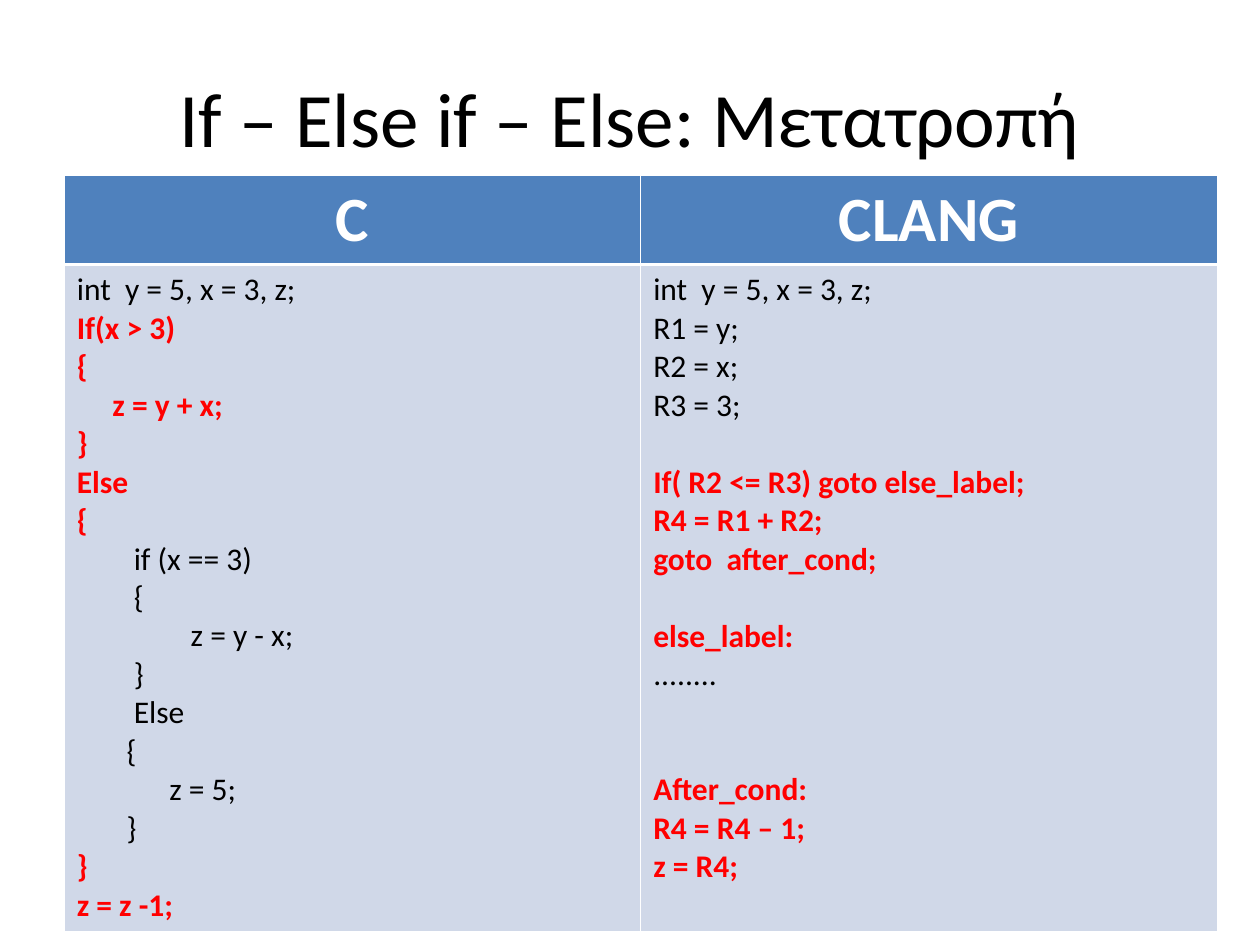
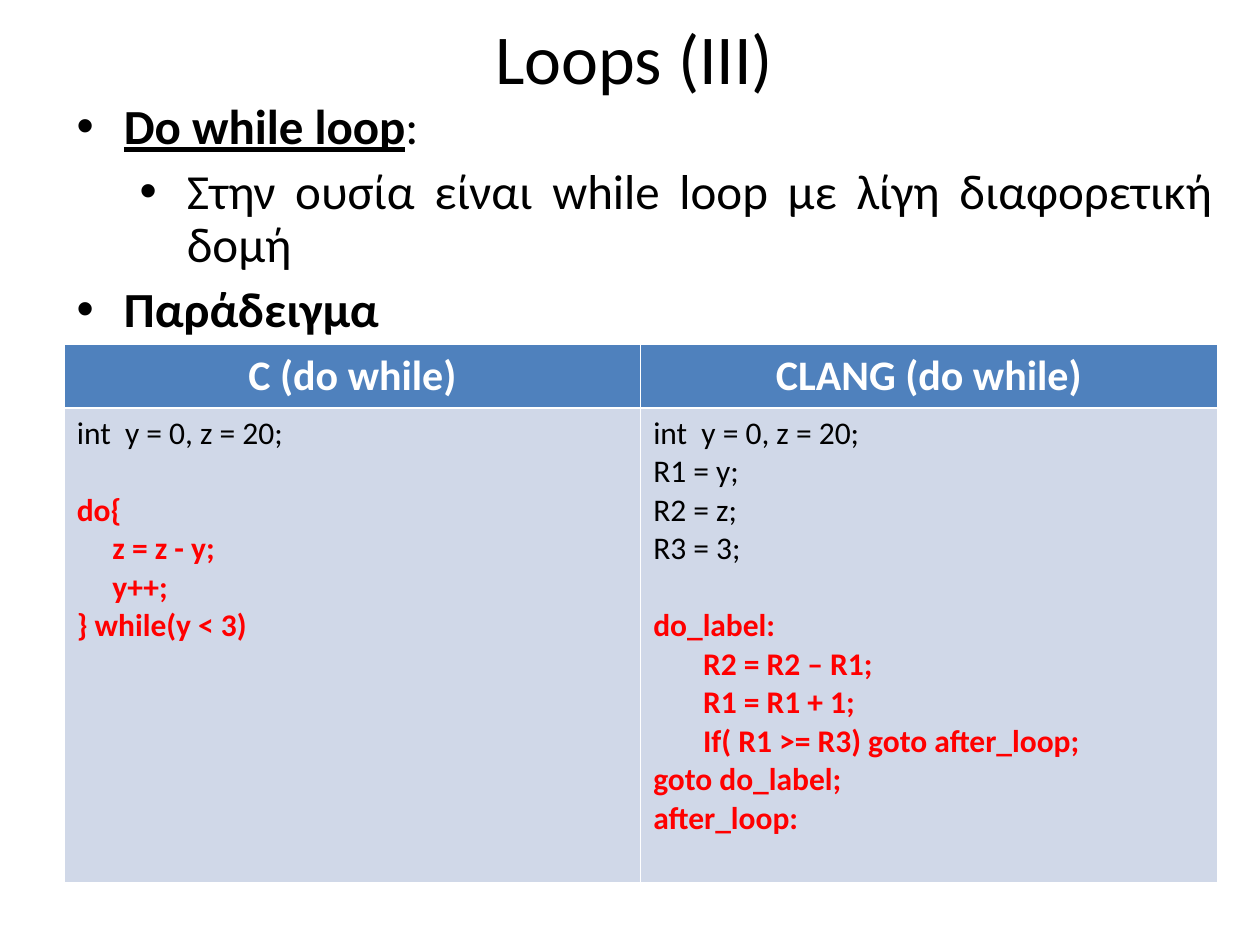
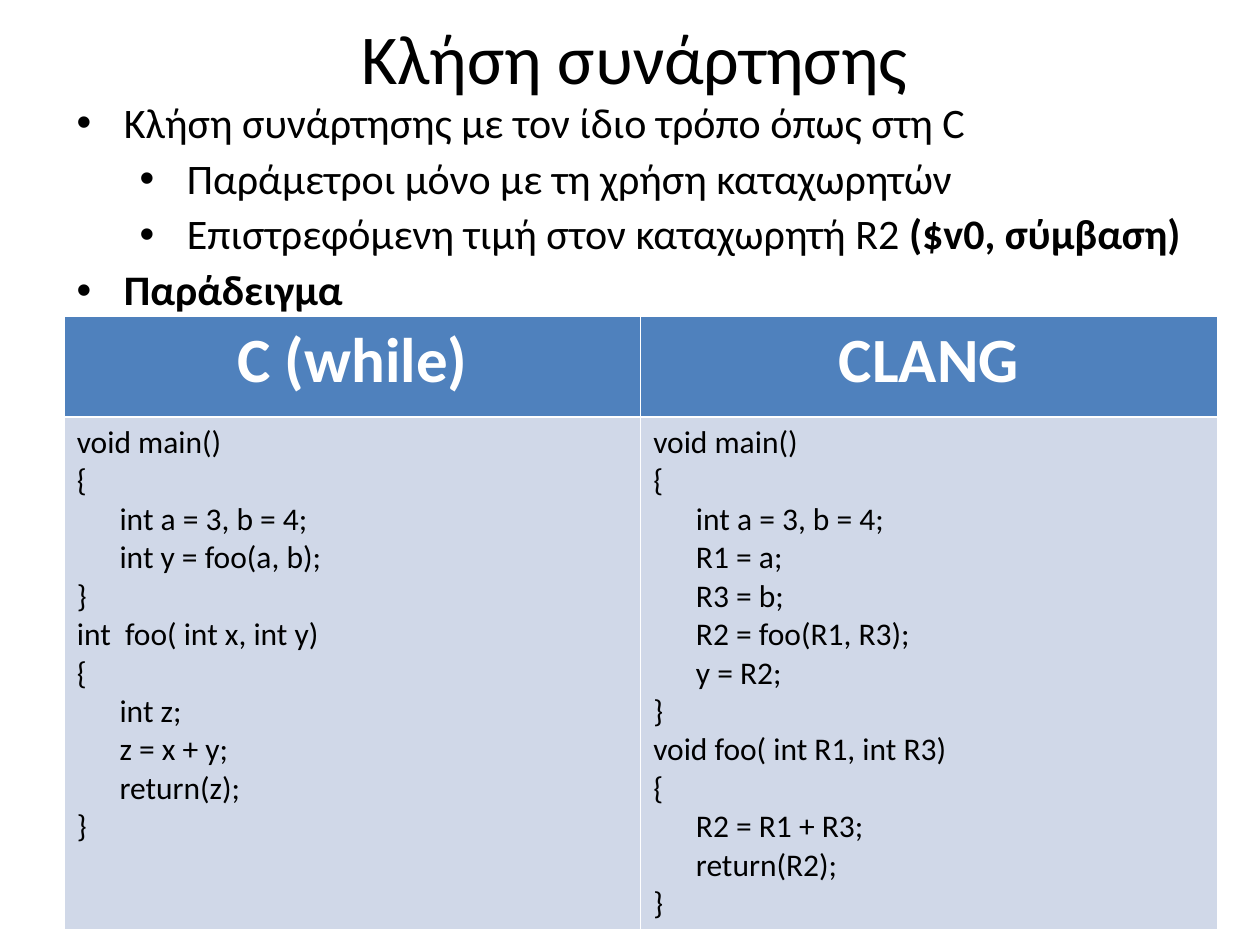
"""Build three slides comparing C code with its CLANG translation."""
import pptx
import pptx.dml.color
import pptx.enum.text
import pptx.oxml.ns
import pptx.util
from lxml import etree

COLOURS = {
    "text": "000000",
    "emphasis": "FF0000",
    "header": "4F81BD",
    "body": "D0D8E8",
    "white": "FFFFFF",
}
FONT = "Calibri"
SLIDE_WIDTH = pptx.util.Inches(10)
SLIDE_HEIGHT = pptx.util.Inches(7.5)
UNIT = SLIDE_WIDTH // 100
TITLE_AREA = (3.5, 0.5, 93.7, 7.9)
MARGIN = 5.1
COLUMN = 45.75
BULLET_WIDTH = 92.1
BULLET_INDENT = 3.75
LEVEL_STEP = 5
CODE_SIZE = 18
CODE_LINE = 22
SPACE_WIDTH = CODE_SIZE * 0.226
THIN_LINE, THICK_LINE = 0.45, 1.5
ALIGN = pptx.enum.text.PP_ALIGN

IF_C = """
int  y = 5, x = 3, z;
*If(x > 3)
*{
*     z = y + x;
*}
*Else
*{
        if (x == 3)
        {
                z = y - x;
        }
        Else
       {
             z = 5;
       }
*}
*z = z -1;
"""
IF_CLANG = """
int  y = 5, x = 3, z;
R1 = y;
R2 = x;
R3 = 3;

*If( R2 <= R3) goto else_label;
*R4 = R1 + R2;
*goto  after_cond;

*else_label:
........


*After_cond:
*R4 = R4 – 1;
*z = R4;
"""
LOOP_C = """
int  y = 0, z = 20;

*do{
*     z = z - y;
*     y++;
*} while(y < 3)
"""
LOOP_CLANG = """
int  y = 0, z = 20;
R1 = y;
R2 = z;
R3 = 3;

*do_label:
*       R2 = R2 – R1;
*       R1 = R1 + 1;
*       If( R1 >= R3) goto after_loop;
*goto do_label;
*after_loop:
"""
CALL_C = """
void main()
{
      int a = 3, b = 4;
      int y = foo(a, b);
}
int  foo( int x, int y)
{
      int z;
      z = x + y;
      return(z);
}
"""
CALL_CLANG = """
void main()
{
      int a = 3, b = 4;
      R1 = a;
      R3 = b;
      R2 = foo(R1, R3);
      y = R2;
}
void foo( int R1, int R3)
{
      R2 = R1 + R3;
      return(R2);
}
"""

LOOP_BULLETS = [
    (0, [("Do while loop", "bold underline"), (":", "")]),
    (1, [("Στην ουσία είναι while loop με λίγη διαφορετική δομή", "")]),
    (0, [("Παράδειγμα", "bold")]),
]
CALL_BULLETS = [
    (0, [("Κλήση συνάρτησης με τον ίδιο τρόπο όπως στη C", "")]),
    (1, [("Παράμετροι μόνο με τη χρήση καταχωρητών", "")]),
    (1, [("Επιστρεφόμενη τιμή στον καταχωρητή R2 ", ""), ("($v0, σύμβαση)", "bold")]),
    (0, [("Παράδειγμα", "bold")]),
]


def grid(*units):
    """Convert grid units, a hundredth of the slide's width each, to lengths."""
    return [round(unit * UNIT) for unit in units]


def rgb(name):
    """Look up a palette colour."""
    return pptx.dml.color.RGBColor.from_string(COLOURS[name])


def format_span(span, size, colour="text", bold=False, underline=False):
    """Set the font of one run."""
    span.font.name = FONT
    span.font.size = pptx.util.Pt(size)
    span.font.color.rgb = rgb(colour)
    span.font.bold = bold
    span.font.underline = underline


def add_box(page, area):
    """Add a wrapping text box and return its text frame."""
    frame = page.shapes.add_textbox(*grid(*area)).text_frame
    frame.word_wrap = True
    return frame


def add_title(page, text, size=40, area=TITLE_AREA):
    """Add the centred slide title."""
    frame = add_box(page, area)
    frame.vertical_anchor = pptx.enum.text.MSO_ANCHOR.MIDDLE
    frame.text = text
    para = frame.paragraphs[0]
    para.alignment = ALIGN.CENTER
    format_span(para.runs[0], size)


def add_bullets(page, bullets, size, height):
    """Add the justified bullet list under the title."""
    frame = add_box(page, (MARGIN, 7.6, BULLET_WIDTH, height))
    for index, (level, spans) in enumerate(bullets):
        para = frame.add_paragraph() if index else frame.paragraphs[0]
        para.level = level
        para.alignment = ALIGN.JUSTIFY
        para.line_spacing = 0.9
        para.space_before = pptx.util.Pt(size / 4)
        left, hanging = grid(BULLET_INDENT + level * LEVEL_STEP, -BULLET_INDENT)
        properties = para._p.get_or_add_pPr()
        properties.set("marL", str(left))
        properties.set("indent", str(hanging))
        etree.SubElement(properties, pptx.oxml.ns.qn("a:buFont"), typeface="Arial")
        etree.SubElement(properties, pptx.oxml.ns.qn("a:buChar"), char="•")
        for text, style in spans:
            span = para.add_run()
            span.text = text
            format_span(span, size, bold="bold" in style, underline="underline" in style)


def style_cell(cell, fill, top, bottom):
    """Fill a cell and give it white borders."""
    cell.fill.solid()
    cell.fill.fore_color.rgb = rgb(fill)
    properties = cell._tc.get_or_add_tcPr()
    widths = {"lnL": THIN_LINE, "lnR": THIN_LINE, "lnT": top, "lnB": bottom}
    for index, (side, width) in enumerate(widths.items()):
        line = etree.Element(pptx.oxml.ns.qn("a:" + side), w=str(pptx.util.Pt(width)))
        solid = etree.SubElement(line, pptx.oxml.ns.qn("a:solidFill"))
        etree.SubElement(solid, pptx.oxml.ns.qn("a:srgbClr"), val=COLOURS["white"])
        properties.insert(index, line)


def write_header(cell, text, size):
    """Write a column heading."""
    style_cell(cell, "header", THIN_LINE, THICK_LINE)
    cell.text_frame.text = text
    para = cell.text_frame.paragraphs[0]
    para.alignment = ALIGN.CENTER
    format_span(para.runs[0], size, "white", bold=True)


def write_code(cell, code):
    """Write code lines, turning leading spaces and empty lines into spacing and '*' into emphasis."""
    style_cell(cell, "body", THICK_LINE, THIN_LINE)
    para, gaps = None, 0
    for line in code.strip("\n").split("\n"):
        if not line:
            gaps += 1
            continue
        emphasised = line.startswith("*")
        line = line.removeprefix("*")
        text = line.lstrip()
        para = cell.text_frame.add_paragraph() if para else cell.text_frame.paragraphs[0]
        para.text = text
        para.space_before = pptx.util.Pt(gaps * CODE_LINE)
        indent = pptx.util.Pt((len(line) - len(text)) * SPACE_WIDTH)
        para._p.get_or_add_pPr().set("marL", str(indent))
        format_span(para.runs[0], CODE_SIZE, "emphasis" if emphasised else "text", emphasised)
        gaps = 0


def add_code_table(page, top, heights, header_size, columns):
    """Add a table with a heading and a block of code in each column."""
    area = grid(MARGIN, top, COLUMN * len(columns), sum(heights))
    table = page.shapes.add_table(2, len(columns), *area).table
    for row, height in zip(table.rows, grid(*heights)):
        row.height = height
    for index, (heading, code) in enumerate(columns):
        table.columns[index].width = grid(COLUMN)[0]
        write_header(table.cell(0, index), heading, header_size)
        write_code(table.cell(1, index), code)


def main():
    """Build and save the deck."""
    deck = pptx.Presentation()
    deck.slide_width, deck.slide_height = SLIDE_WIDTH, SLIDE_HEIGHT
    condition, loop, call = [deck.slides.add_slide(deck.slide_layouts[6]) for _ in range(3)]

    add_title(condition, "If – Else if – Else: Μετατροπή", 44, (5, 3, 90, 12.5))
    add_code_table(condition, 13.9, (7.1, 52.9), 36, [("C", IF_C), ("CLANG", IF_CLANG)])

    add_title(loop, "Loops (ΙII)")
    add_bullets(loop, LOOP_BULLETS, 28, 21.3)
    add_code_table(loop, 27.3, (5.1, 37.6), 24,
                   [("C (do while)", LOOP_C), ("CLANG (do while)", LOOP_CLANG)])

    add_title(call, "Κλήση συνάρτησης")
    add_bullets(call, CALL_BULLETS, 24, 18.1)
    add_code_table(call, 25.1, (8, 40.7), 36, [("C (while)", CALL_C), ("CLANG", CALL_CLANG)])

    deck.save("out.pptx")


if __name__ == "__main__":
    main()
